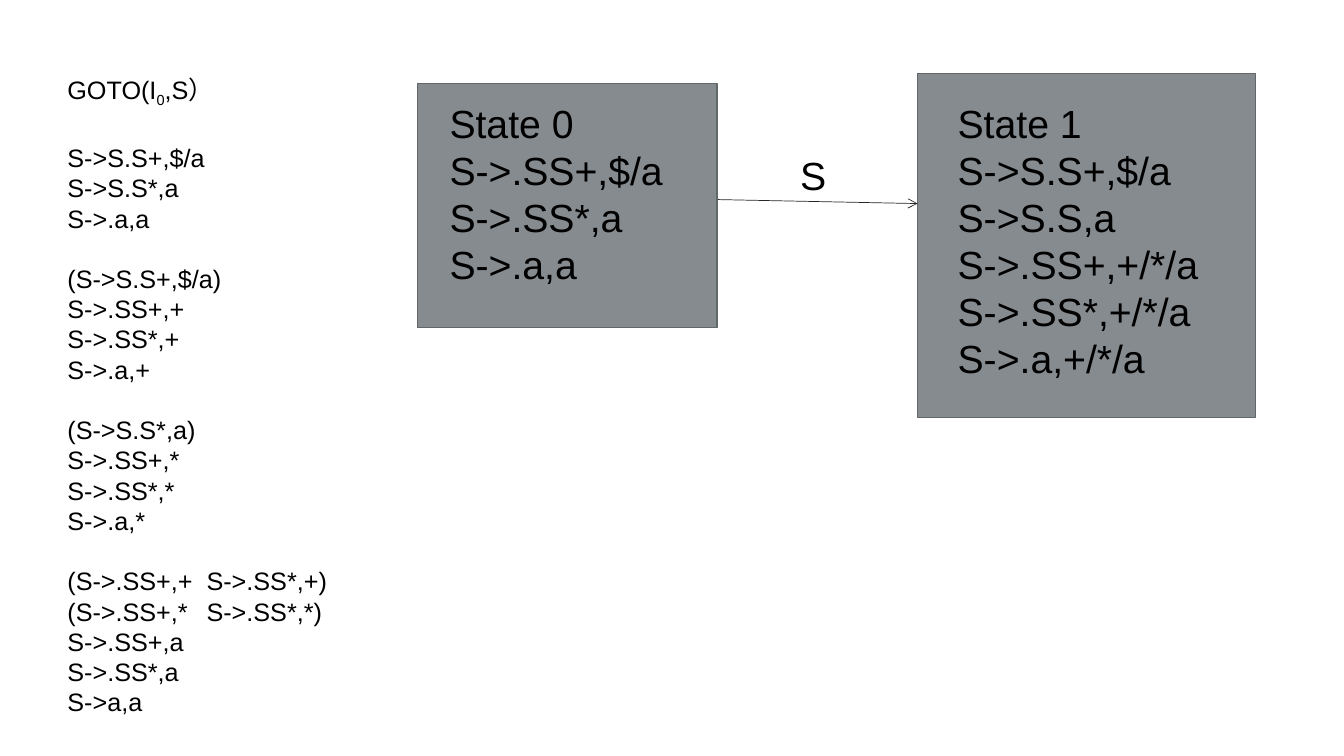
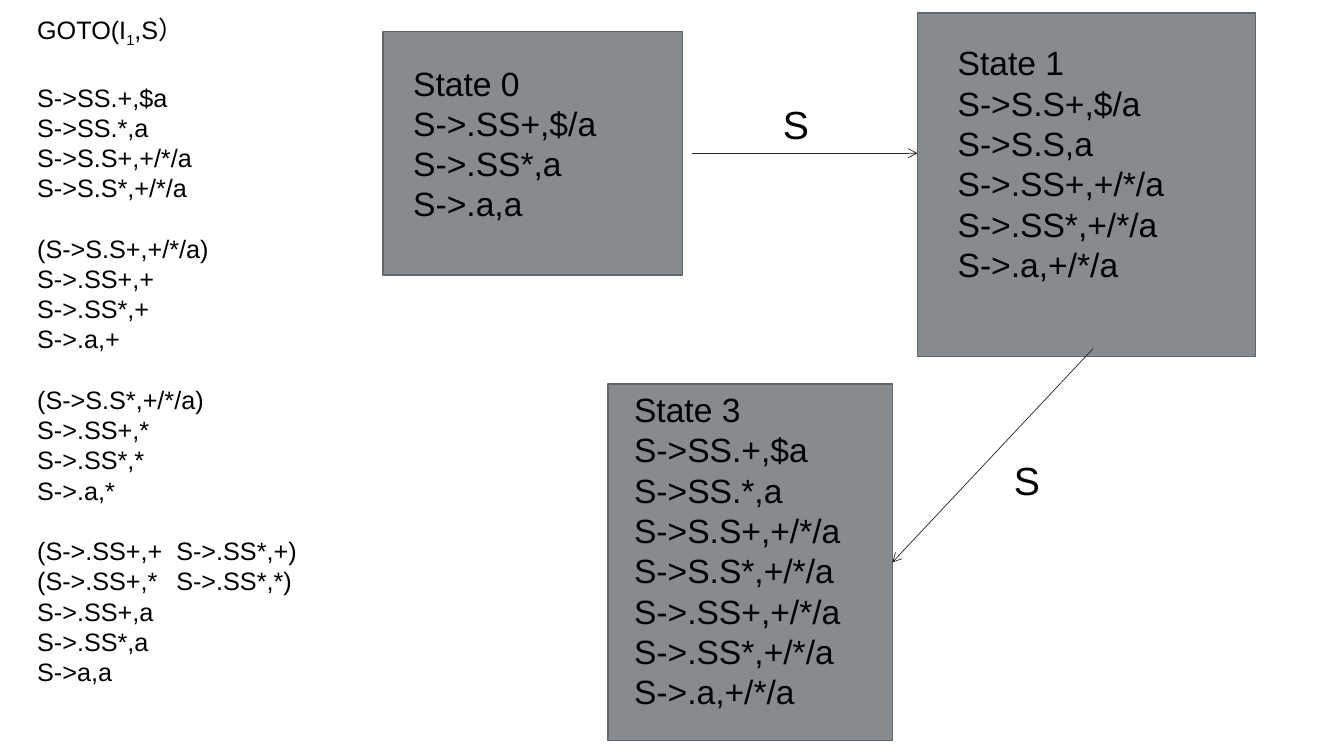
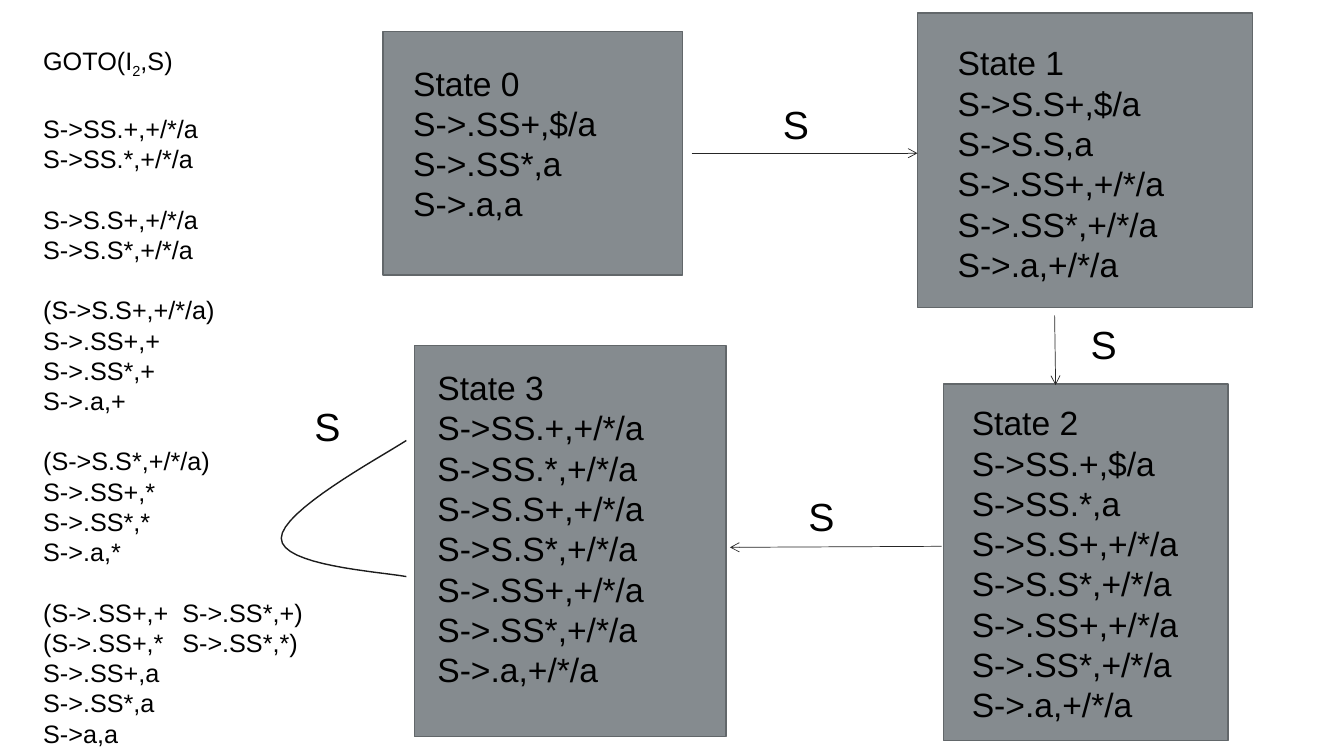
from lxml import etree
from pptx import Presentation
from pptx import util as u
from pptx.dml.color import RGBColor
from pptx.enum import shapes, text
from pptx.oxml.ns import qn

PX = 9144
FONT = "Arial"
HUE = {"ink": "000000", "box": "858B8F", "edge": "62676A", "line": "262626", "loop": "1C1C1C"}
MID, LEFT = text.PP_ALIGN.CENTER, text.PP_ALIGN.LEFT


def rgb(name):
    return RGBColor.from_string(HUE[name])


def write(slide, area, rows, size, align=LEFT):
    frame = slide.shapes.add_textbox(*[n * PX for n in area]).text_frame
    frame.word_wrap = True
    for i, (gap, runs) in enumerate(rows):
        para = frame.paragraphs[0] if i == 0 else frame.add_paragraph()
        if any("\t" in part for part in runs):
            tabs = etree.SubElement(para._p.get_or_add_pPr(), qn("a:tabLst"))
            etree.SubElement(tabs, qn("a:tab"), pos=str(138 * PX), algn="l")
        para.alignment = align
        para.line_spacing = u.Pt(size * 1.2)
        if gap:
            para.space_before = u.Pt(gap)
        for j, part in enumerate(runs):
            run = para.add_run()
            run.text = part
            run.font.name = FONT
            run.font.size = u.Pt(size)
            run.font.color.rgb = rgb("ink")
            if j == 1:
                run.font._element.set("baseline", "-25000")


ZERO = ["State 0", "S->.SS+,$/a", "S->.SS*,a", "S->.a,a"]
LOOK = ["S->.SS+,+/*/a", "S->.SS*,+/*/a", "S->.a,+/*/a"]
ONE = ["State 1", "S->S.S+,$/a", "S->S.S,a"] + LOOK
NEXT = ["S->S.S+,+/*/a", "S->S.S*,+/*/a"]
DONE = ["S->SS.+,+/*/a", "S->SS.*,+/*/a"]
LAST = ["(S->.SS+,+\tS->.SS*,+)", "(S->.SS+,*\tS->.SS*,*)", "S->.SS+,a", "S->.SS*,a", "S->a,a"]

home = ((380, 31, 297, 242), (400, 57, 421, 212), 24, ZERO)
PAGES = [
    {
        "goto": ((57, 73, 341, 646), ["GOTO(I", "0", ",S）"]),
        "sets": [["S->S.S+,$/a", "S->S.S*,a", "S->.a,a"]],
        "from": ["(S->S.S+,$/a)", "(S->S.S*,a)"],
        "boxes": [
            ((414, 83, 297, 242), (436, 94, 421, 246), 28, ZERO),
            ((910, 73, 335, 341), (940, 94, 277, 293), 28, ONE),
        ],
        "lines": [((712, 198, 910, 202), None)],
        "tags": [((757, 145, 99, 57), MID)],
    },
    {
        "goto": ((27, 13, 309, 737), ["GOTO(I", "1", ",S）"]),
        "sets": [["S->SS.+,$a", "S->SS.*,a"] + NEXT],
        "from": ["(S->S.S+,+/*/a)", "(S->S.S*,+/*/a)"],
        "boxes": [
            home,
            ((910, 13, 335, 341), (940, 37, 277, 252), 24, ONE),
            ((603, 381, 282, 354), (619, 381, 249, 369), 24,
             ["State 3", "S->SS.+,$a", "S->SS.*,a"] + NEXT + LOOK),
        ],
        "lines": [((686, 152, 910, 152), None), ((1084, 346, 885, 558), 2)],
        "tags": [((740, 95, 99, 57), MID), ((971, 448, 95, 57), MID)],
    },
    {
        "goto": ((33, 44, 299, 706), ["GOTO(I", "2", ",S)"]),
        "sets": [DONE, NEXT],
        "from": ["(S->S.S+,+/*/a)", "(S->S.S*,+/*/a)"],
        "boxes": [
            home,
            ((910, 13, 332, 292), (940, 37, 277, 252), 24, ONE),
            ((936, 381, 282, 354), (954, 394, 249, 356), 24,
             ["State 2", "S->SS.+,$/a", "S->SS.*,a"] + NEXT + LOOK),
            ((411, 343, 309, 388), (424, 359, 280, 333), 24, ["State 3"] + DONE + NEXT + LOOK),
        ],
        "lines": [
            ((686, 152, 910, 152), None),
            ((1046, 313, 1047, 382), None),
            ((934, 542, 724, 543), None),
        ],
        "tags": [
            ((740, 95, 99, 57), MID),
            ((1047, 313, 95, 57), MID),
            ((792, 484, 74, 57), LEFT),
            ((302, 394, 80, 57), LEFT),
        ],
    },
]

deck = Presentation()
deck.slide_width, deck.slide_height = 1333 * PX, 750 * PX

for page in PAGES:
    slide = deck.slides.add_slide(deck.slide_layouts[6])

    area, head = page["goto"]
    sets = list(page["sets"])
    for start, mark in zip(page["from"], "+*"):
        sets.append([start] + [f"S->.{body},{mark}" for body in ("SS+", "SS*", "a")])
    rows = [(0, head)]
    for i, group in enumerate(sets + [LAST]):
        for j, item in enumerate(group):
            gap = 0 if j else 24 if i == 0 else 21.6
            rows.append((gap, [item]))
    write(slide, area, rows, 18)

    rects = []
    for edge, area, size, items in page["boxes"]:
        rect = slide.shapes.add_shape(shapes.MSO_SHAPE.RECTANGLE, *[n * PX for n in edge])
        rect.shadow.inherit = False
        rect.fill.solid()
        rect.fill.fore_color.rgb = rgb("box")
        rect.line.color.rgb = rgb("edge")
        rect.line.width = u.Pt(1)
        rects.append(rect)
        write(slide, area, [(0, [item]) for item in items], size)

    for ends, goal in page["lines"]:
        line = slide.shapes.add_connector(shapes.MSO_CONNECTOR.STRAIGHT, *[n * PX for n in ends])
        if goal is not None:
            line.end_connect(rects[goal], 3)
        line.line.color.rgb = rgb("line")
        line.line.width = u.Pt(0.5)
        etree.SubElement(line.line._get_or_add_ln(), qn("a:tailEnd"), type="arrow")
        etree.SubElement(line._element.spPr, qn("a:effectLst"))

    for area, align in page["tags"]:
        write(slide, area, [(0, ["S"])], 28, align)

curves = [
    ((403, 572), (375, 567), (279, 561), (279, 534)),
    ((279, 534), (279, 507), (375, 455), (403, 437)),
]
steps = 16
dots = []
for a, b, c, d in curves:
    for k in range(1, steps + 1):
        t = k / steps
        s = 1 - t
        dots.append([
            round((s**3 * a[n] + 3 * s * s * t * b[n] + 3 * s * t * t * c[n] + t**3 * d[n]) * PX)
            for n in (0, 1)
        ])
pen = slide.shapes.build_freeform(403 * PX, 572 * PX)
pen.add_line_segments(dots, close=False)
loop = pen.convert_to_shape()
loop.shadow.inherit = False
loop.fill.background()
loop.line.color.rgb = rgb("loop")
loop.line.width = u.Pt(1)

deck.save("out.pptx")
